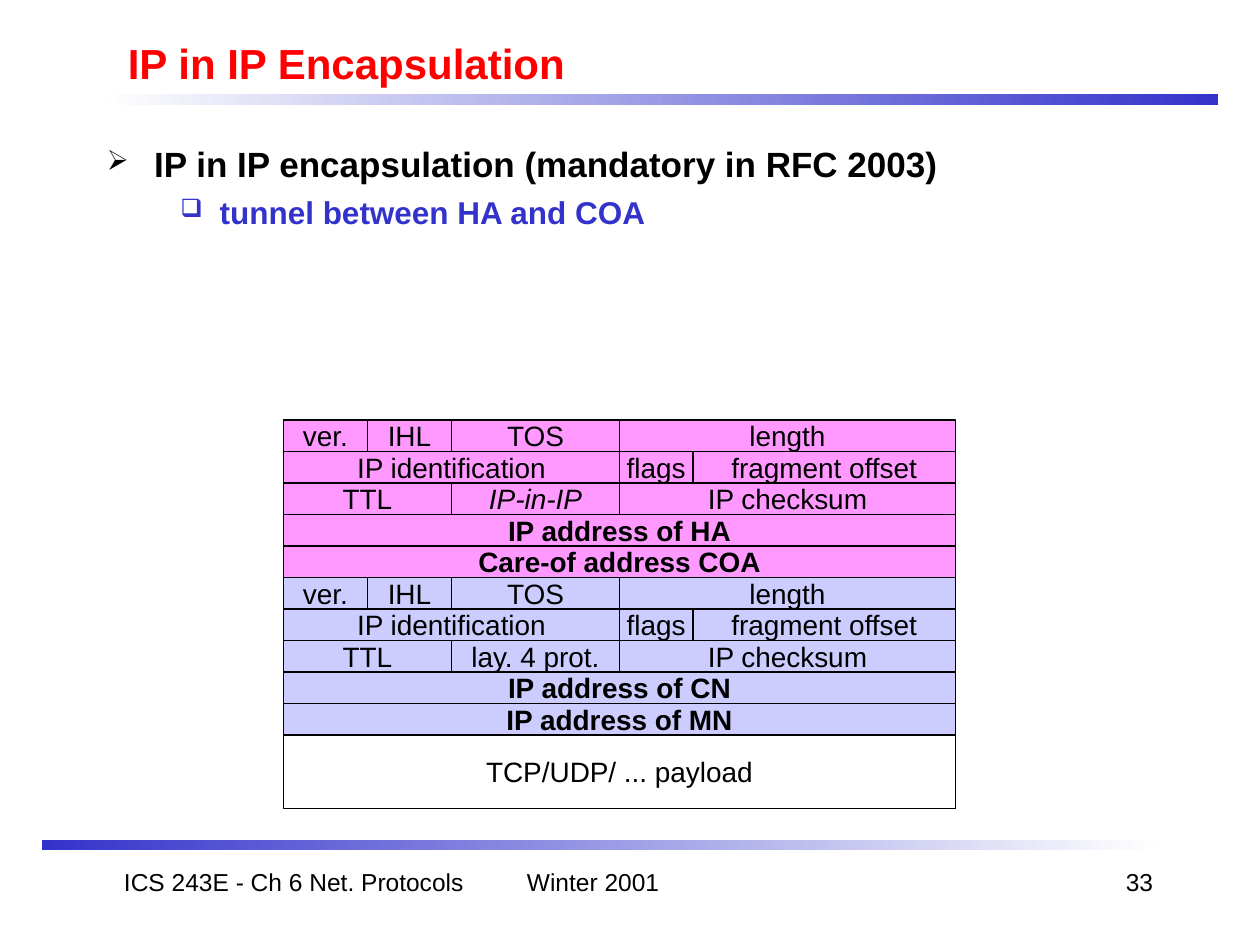
from typing import NamedTuple

import pptx
import pptx.dml.color
import pptx.enum.shapes
import pptx.enum.text
import pptx.oxml
import pptx.oxml.ns
import pptx.util

Pt = pptx.util.Pt
RGBColor = pptx.dml.color.RGBColor
Align = pptx.enum.text.PP_ALIGN
Anchor = pptx.enum.text.MSO_ANCHOR

BLACK = RGBColor(0x00, 0x00, 0x00)
RED = RGBColor(0xFF, 0x00, 0x00)
BLUE = RGBColor(0x33, 0x33, 0xCC)
WHITE = RGBColor(0xFE, 0xFE, 0xFE)
PINK = RGBColor(0xFF, 0x99, 0xFF)
LILAC = RGBColor(0xCC, 0xCC, 0xFF)

LEFT, TOP = 162, 240
ROW = 18
FULL, HALF, FOURTH, EIGHTH = 384, 192, 96, 48
FLAGS = 42


class Field(NamedTuple):
    text: str
    width: float
    bold: bool = False
    slant: bool = False


class Header(NamedTuple):
    color: RGBColor
    proto: Field
    source: str
    target: str


class Label(NamedTuple):
    text: str
    left: float
    top: float
    width: float
    height: float
    size: float = 14
    color: RGBColor = BLACK
    bold: bool = False
    align: Align = Align.LEFT
    anchor: Anchor = Anchor.TOP


class Bullet(NamedTuple):
    text: str
    mark: str
    size: float
    color: RGBColor
    margin: float
    hang: float
    before: float


HEADERS = [
    Header(PINK, Field("IP-in-IP", FOURTH, slant=True),
           "IP address of HA", "Care-of address COA"),
    Header(LILAC, Field("lay. 4 prot.", FOURTH),
           "IP address of CN", "IP address of MN"),
]

LABELS = [
    Label("IP in IP Encapsulation", 66, 18, 612, 36, 24, RED, True,
          anchor=Anchor.MIDDLE),
    Label("ICS 243E - Ch 6 Net. Protocols", 54, 492, 228, 36,
          align=Align.CENTER),
    Label("Winter 2001", 294, 492, 150, 36),
    Label("33", 516, 492, 150, 36, align=Align.RIGHT),
]

BULLETS = [
    Bullet("IP in IP encapsulation (mandatory in RFC 2003)", "➢",
           20, BLACK, 27, 27, 0),
    Bullet("tunnel between HA and COA", "❑", 18, BLUE, 64.5, 22.5, 4.5),
]


def style(para, size: float, color: RGBColor, bold: bool = False,
          slant: bool = False) -> None:
    font = para.font
    font.name = "Arial"
    font.size = Pt(size)
    font.color.rgb = color
    font.bold = bold
    font.italic = slant


def add_rect(slide, left: float, top: float, width: float, height: float):
    rect = slide.shapes.add_shape(
        pptx.enum.shapes.MSO_SHAPE.RECTANGLE,
        Pt(left), Pt(top), Pt(width), Pt(height))
    rect.shadow.inherit = False
    return rect


def add_bar(slide, left: float, top: float, start: RGBColor,
            end: RGBColor) -> None:
    """Draw a thin rule that fades from start to end, left to right."""
    bar = add_rect(slide, left, top, 636, 6)
    bar.line.fill.background()
    bar.fill.gradient()
    bar.fill.gradient_angle = 0
    for stop, color in zip(bar.fill.gradient_stops, (start, end)):
        stop.color.rgb = color


def add_field(slide, field: Field, left: float, top: float,
              height: float = ROW, color: RGBColor | None = None) -> None:
    cell = add_rect(slide, left, top, field.width, height)
    if color is None:
        cell.fill.background()
    else:
        cell.fill.solid()
        cell.fill.fore_color.rgb = color
    cell.line.color.rgb = BLACK
    cell.line.width = Pt(0.75)
    frame = cell.text_frame
    frame.word_wrap = False
    frame.vertical_anchor = Anchor.MIDDLE
    para = frame.paragraphs[0]
    para.text = field.text
    para.alignment = Align.CENTER
    style(para, 16, BLACK, field.bold, field.slant)


def add_header(slide, header: Header, top: float) -> float:
    """Draw the rows of one IP header and return its lower edge."""
    rows = [
        [Field("ver.", EIGHTH), Field("IHL", EIGHTH), Field("TOS", FOURTH),
         Field("length", HALF)],
        [Field("IP identification", HALF), Field("flags", FLAGS),
         Field("fragment offset", HALF - FLAGS)],
        [Field("TTL", FOURTH), header.proto, Field("IP checksum", HALF)],
        [Field(header.source, FULL, bold=True)],
        [Field(header.target, FULL, bold=True)],
    ]
    for row in rows:
        left = LEFT
        for field in row:
            add_field(slide, field, left, top, color=header.color)
            left += field.width
        top += ROW
    return top


def add_frame(slide, left: float, top: float, width: float, height: float):
    box = slide.shapes.add_textbox(Pt(left), Pt(top), Pt(width), Pt(height))
    box.text_frame.word_wrap = True
    return box.text_frame


def add_label(slide, label: Label) -> None:
    frame = add_frame(slide, label.left, label.top, label.width, label.height)
    frame.vertical_anchor = label.anchor
    para = frame.paragraphs[0]
    para.text = label.text
    para.alignment = label.align
    style(para, label.size, label.color, label.bold)


def add_bullets(slide, bullets: list[Bullet]) -> None:
    frame = add_frame(slide, 54, 78, 612, 138)
    for level, item in enumerate(bullets):
        para = frame.add_paragraph() if level else frame.paragraphs[0]
        para.text = item.text
        para.level = level
        props = para._p.get_or_add_pPr()
        props.set("marL", str(Pt(item.margin)))
        props.set("indent", str(-Pt(item.hang)))
        space = pptx.oxml.ns.nsdecls("a")
        for mark in (
            f'<a:buClr {space}><a:srgbClr val="{item.color}"/></a:buClr>',
            f'<a:buSzPct {space} val="80000"/>',
            f'<a:buChar {space} char="{item.mark}"/>',
        ):
            props.append(pptx.oxml.parse_xml(mark))
        para.space_before = Pt(item.before)
        style(para, item.size, item.color, bold=True)


def main() -> None:
    deck = pptx.Presentation()
    deck.slide_width, deck.slide_height = Pt(720), Pt(540)
    slide = deck.slides.add_slide(deck.slide_layouts[6])
    add_bar(slide, 60, 54, WHITE, BLUE)
    add_bar(slide, 24, 480, BLUE, WHITE)
    add_bullets(slide, BULLETS)
    top = TOP
    for header in HEADERS:
        top = add_header(slide, header, top)
    add_field(slide, Field("TCP/UDP/ ... payload", FULL), LEFT, top, 42)
    for label in LABELS:
        add_label(slide, label)
    deck.save("out.pptx")


if __name__ == "__main__":
    main()
